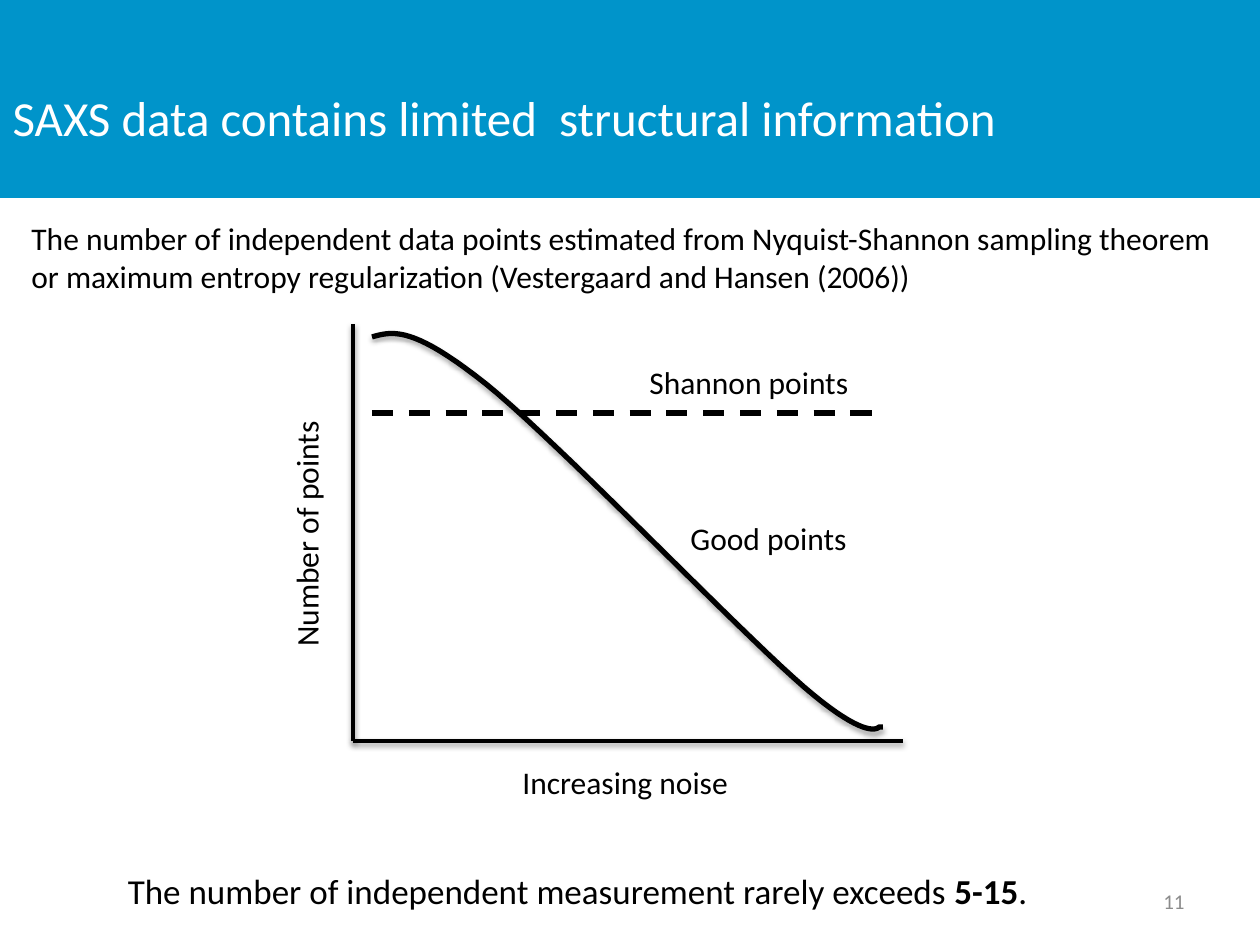
import pptx
import pptx.dml.color
import pptx.enum.dml
import pptx.enum.shapes
import pptx.enum.text
import pptx.oxml
import pptx.oxml.ns
import pptx.util

PIXEL = 914400 / 126
WIDTH, HEIGHT = 1260, 945
FONT = "Calibri"
BLUE = pptx.dml.color.RGBColor(0x00, 0x94, 0xCA)
WHITE = pptx.dml.color.RGBColor(0xFF, 0xFF, 0xFF)
BLACK = pptx.dml.color.RGBColor(0x00, 0x00, 0x00)
GRAY = pptx.dml.color.RGBColor(0x8C, 0x8C, 0x8C)
LEFT = pptx.enum.text.PP_ALIGN.LEFT
CENTER = pptx.enum.text.PP_ALIGN.CENTER
RIGHT = pptx.enum.text.PP_ALIGN.RIGHT
TOP = pptx.enum.text.MSO_ANCHOR.TOP
MIDDLE = pptx.enum.text.MSO_ANCHOR.MIDDLE

BANNER = (0, 0, WIDTH, 198)
TITLE = ("SAXS data contains limited  structural information", (0, 38, 1047, 157))
TEXTS = [
    ("The number of independent data points estimated from Nyquist-Shannon sampling theorem "
     "or maximum entropy regularization (Vestergaard and Hansen (2006))",
     (19, 213, 1227, 89), {}),
    ([("The number of independent measurement rarely exceeds ", False), ("5-15", True), (".", False)],
     (84, 863, 987, 55), {"size": 20, "align": CENTER}),
    ("11", (903, 876, 294, 50), {"size": 12, "color": GRAY, "align": RIGHT, "anchor": MIDDLE}),
]
LABELS = [
    ("Number of points", (180, 507, 253, 51), {"rotation": 270}),
    ("Increasing noise", (510, 757, 233, 51), {"fill": WHITE}),
    ("Shannon points", (637, 357, 227, 51), {}),
    ("Good points", (678, 513, 184, 51), {}),
]
ORIGIN = (353, 741)
AXIS_ENDS = [(903, 741), (353, 324)]
SHANNON_LINE = ((372, 413), (878, 413))
CURVE_START = (372, 337)
CURVE_SEGMENTS = [
    ((393, 331), (413, 326), (486, 384)),
    ((558, 442), (738, 630), (804, 687)),
    ((869, 743), (879, 727), (879, 727)),
]
CURVE_END = (883, 727)
CURVE_STEPS = 20


def scaled(lengths):
    return [round(length * PIXEL) for length in lengths]


def write_text(shape, text, size=18, color=BLACK, align=LEFT, anchor=TOP, wrap=True, rotation=0, fill=None):
    shape.rotation = rotation
    if fill is not None:
        shape.fill.solid()
        shape.fill.fore_color.rgb = fill
    frame = shape.text_frame
    frame.word_wrap = wrap
    frame.vertical_anchor = anchor
    paragraph = frame.paragraphs[0]
    paragraph.alignment = align
    for words, bold in [(text, False)] if isinstance(text, str) else text:
        run = paragraph.add_run()
        run.text = words
        run.font.name = FONT
        run.font.size = pptx.util.Pt(size)
        run.font.bold = bold
        run.font.color.rgb = color


def style_line(shape, width, shadow_opacity=0):
    shape.line.color.rgb = BLACK
    shape.line.width = pptx.util.Pt(width)
    properties = shape._element.spPr
    for old in properties.findall(pptx.oxml.ns.qn("a:effectLst")):
        properties.remove(old)
    shadow = (
        '<a:outerShdw blurRad="39370" dist="21590" dir="5400000" rotWithShape="0">'
        f'<a:srgbClr val="{BLACK}"><a:alpha val="{shadow_opacity * 1000}"/></a:srgbClr></a:outerShdw>'
    ) if shadow_opacity else ""
    properties.append(pptx.oxml.parse_xml(
        f'<a:effectLst {pptx.oxml.ns.nsdecls("a")}>{shadow}</a:effectLst>'))


def add_line(slide, start, end, width, shadow_opacity=0):
    line = slide.shapes.add_connector(
        pptx.enum.shapes.MSO_CONNECTOR.STRAIGHT, *scaled(start + end))
    style_line(line, width, shadow_opacity)
    return line


def curve_points():
    points = []
    start = CURVE_START
    for first, second, end in CURVE_SEGMENTS:
        for step in range(1, CURVE_STEPS + 1):
            t = step / CURVE_STEPS
            weights = ((1 - t) ** 3, 3 * t * (1 - t) ** 2, 3 * t ** 2 * (1 - t), t ** 3)
            controls = (start, first, second, end)
            points.append(tuple(sum(weight * point[axis] for weight, point in zip(weights, controls))
                                for axis in (0, 1)))
        start = end
    return points + [CURVE_END]


def add_curve(slide):
    builder = slide.shapes.build_freeform(*scaled(CURVE_START))
    builder.add_line_segments([scaled(point) for point in curve_points()], close=False)
    curve = builder.convert_to_shape()
    curve.fill.background()
    style_line(curve, 3, 35)


def main():
    presentation = pptx.Presentation()
    presentation.slide_width, presentation.slide_height = scaled((WIDTH, HEIGHT))
    slide = presentation.slides.add_slide(presentation.slide_layouts[5])

    banner = slide.shapes.add_shape(pptx.enum.shapes.MSO_SHAPE.RECTANGLE, *scaled(BANNER))
    banner.shadow.inherit = False
    banner.fill.solid()
    banner.fill.fore_color.rgb = BLUE
    banner.line.fill.background()

    title = slide.shapes.title
    slide.shapes._spTree.append(title._element)
    text, box = TITLE
    title.left, title.top, title.width, title.height = scaled(box)
    write_text(title, text, size=28, color=WHITE, anchor=MIDDLE)

    for text, box, options in TEXTS:
        write_text(slide.shapes.add_textbox(*scaled(box)), text, **options)
    for end in AXIS_ENDS:
        add_line(slide, ORIGIN, end, 2, 38)
    shannon = add_line(slide, *SHANNON_LINE, 3)
    shannon.line.dash_style = pptx.enum.dml.MSO_LINE.DASH
    add_curve(slide)
    for text, box, options in LABELS:
        write_text(slide.shapes.add_textbox(*scaled(box)), text, wrap=False, **options)

    presentation.save("out.pptx")


if __name__ == "__main__":
    main()
